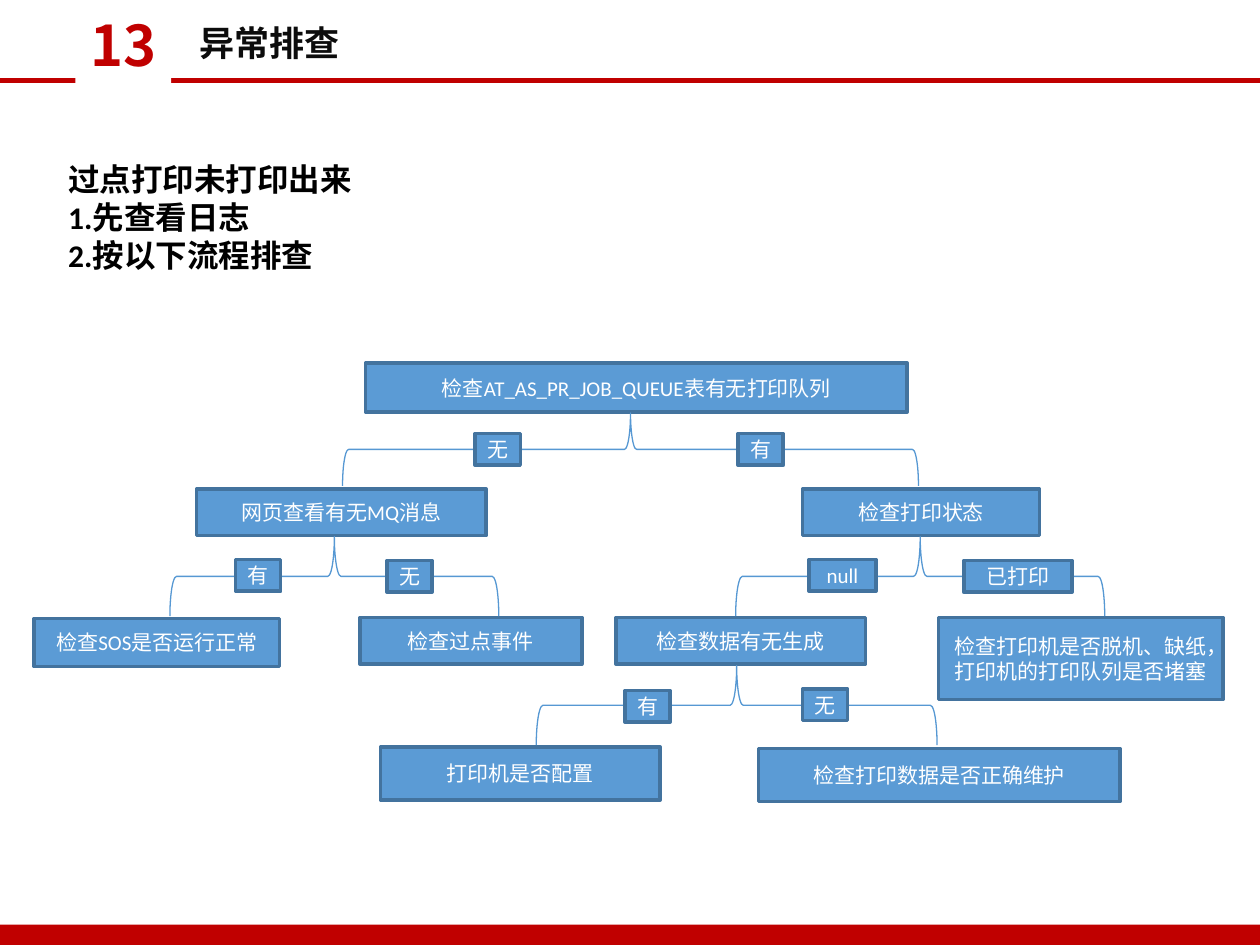
from dataclasses import dataclass

from lxml import etree
from pptx import Presentation
from pptx.dml.color import RGBColor
from pptx.enum.lang import MSO_LANGUAGE_ID
from pptx.enum.shapes import MSO_CONNECTOR, MSO_SHAPE
from pptx.enum.text import MSO_ANCHOR, MSO_AUTO_SIZE, PP_ALIGN
from pptx.oxml.ns import qn
from pptx.util import Cm, Pt

RECTANGLE = MSO_SHAPE.RECTANGLE
LEFT_BRACE = MSO_SHAPE.LEFT_BRACE
STRAIGHT = MSO_CONNECTOR.STRAIGHT
CHINESE = MSO_LANGUAGE_ID.SIMPLIFIED_CHINESE
LEFT, CENTER = PP_ALIGN.LEFT, PP_ALIGN.CENTER
TOP, MIDDLE = MSO_ANCHOR.TOP, MSO_ANCHOR.MIDDLE
NO_AUTOFIT, GROW = MSO_AUTO_SIZE.NONE, MSO_AUTO_SIZE.SHAPE_TO_FIT_TEXT

HEADING_FONT, BODY_FONT = "Noto Sans CJK SC", "Calibri"
RED, WHITE, BLACK, INK = "C00000", "FFFFFF", "000000", "0C0C0C"
BOX_FILL, BOX_EDGE, BRACE_LINE = "5B9BD5", "43739E", "5698D3"
SLIDE_WIDTH, SLIDE_HEIGHT = 25.4, 19.05


@dataclass(frozen=True)
class Box:
    """A flow step or a branch answer, in centimetres."""
    text: str
    left: float
    top: float
    width: float = 0.91
    height: float = 0.64


@dataclass(frozen=True)
class Branch:
    """A brace opening downwards, given by its centre as drawn."""
    center_x: float
    center_y: float
    span: float
    depth: float = 1.6


STEPS = [
    Box("检查AT_AS_PR_JOB_QUEUE表有无打印队列", 7.37, 7.32, 10.92, 0.99),
    Box("网页查看有无MQ消息", 3.96, 9.86, 5.84, 0.94),
    Box("检查打印状态", 16.18, 9.86, 4.78, 0.94),
    Box("检查数据有无生成", 12.42, 12.45, 5.03, 0.94),
    Box("检查SOS是否运行正常", 0.69, 12.47, 4.95, 0.97),
    Box("检查过点事件", 7.26, 12.45, 4.47, 0.94),
    Box("检查打印机是否脱机、缺纸，打印机的打印队列是否堵塞", 18.92, 12.45, 5.74, 1.65),
    Box("打印机是否配置", 7.67, 15.06, 5.64, 1.07),
    Box("检查打印数据是否正确维护", 15.29, 15.09, 7.29, 1.07),
]
BRANCHES = [
    Branch(12.71, 9.06, 11.61, 1.47),
    Branch(18.55, 11.62, 7.44),
    Branch(6.74, 11.62, 6.63),
    Branch(14.85, 14.22, 8.08),
]
ANSWERS = [
    Box("无", 9.58, 8.74),
    Box("有", 14.88, 8.74),
    Box("有", 12.6, 13.92),
    Box("null", 16.31, 11.28, 1.35),
    Box("有", 4.75, 11.28),
    Box("无", 7.8, 11.3),
    Box("无", 16.18, 13.89),
    Box("已打印", 19.43, 11.3, 2.18),
]
INSTRUCTIONS = ["过点打印未打印出来", "1.先查看日志", "2.按以下流程排查"]


def color(hex_code: str) -> RGBColor:
    return RGBColor.from_string(hex_code)


def fill_solid(shape, hex_code: str) -> None:
    shape.fill.solid()
    shape.fill.fore_color.rgb = color(hex_code)


def place(shape, left: float, top: float, width: float, height: float) -> None:
    shape.left, shape.top = Cm(left), Cm(top)
    shape.width, shape.height = Cm(width), Cm(height)


def write(paragraph, text: str, size: float, hex_code: str, align,
          font_name: str = BODY_FONT, bold: bool = False) -> None:
    paragraph.alignment = align
    run = paragraph.add_run()
    run.text = text
    font = run.font
    font.size, font.bold, font.name = Pt(size), bold, font_name
    font.color.rgb = color(hex_code)
    font.language_id = CHINESE
    if font_name == HEADING_FONT:
        latin = run._r.get_or_add_rPr().find(qn("a:latin"))
        east_asian = etree.Element(qn("a:ea"), typeface=font_name)
        latin.addnext(east_asian)


def add_rectangle(slide, left: float, top: float, width: float, height: float,
                  fill: str):
    shape = slide.shapes.add_shape(
        RECTANGLE, Cm(left), Cm(top), Cm(width), Cm(height))
    shape.shadow.inherit = False
    fill_solid(shape, fill)
    shape.line.fill.background()
    return shape


def add_box(slide, box: Box) -> None:
    shape = add_rectangle(
        slide, box.left, box.top, box.width, box.height, BOX_FILL)
    shape.line.color.rgb = color(BOX_EDGE)
    shape.line.width = Pt(2)
    frame = shape.text_frame
    frame.word_wrap, frame.vertical_anchor = True, MIDDLE
    write(frame.paragraphs[0], box.text, 12, WHITE, CENTER)


def add_branch(slide, branch: Branch) -> None:
    brace = slide.shapes.add_shape(
        LEFT_BRACE,
        Cm(branch.center_x - branch.depth / 2),
        Cm(branch.center_y - branch.span / 2),
        Cm(branch.depth), Cm(branch.span))
    brace.rotation = 90
    brace.shadow.inherit = False
    brace.fill.background()
    brace.line.color.rgb = color(BRACE_LINE)
    brace.line.width = Pt(0.75)


def add_header(slide) -> None:
    rule = slide.shapes.add_connector(
        STRAIGHT, 0, Cm(1.63), Cm(SLIDE_WIDTH), Cm(1.63))
    rule.line.color.rgb = color(RED)
    rule.line.width = Pt(3)
    etree.SubElement(rule._element.spPr, qn("a:effectLst"))

    title = slide.shapes.title
    place(title, 3.76, 0.3, 8.08, 1.12)
    fill_solid(title, WHITE)
    frame = title.text_frame
    frame.auto_size, frame.vertical_anchor = NO_AUTOFIT, TOP
    write(frame.paragraphs[0], "异常排查", 20, INK, LEFT, HEADING_FONT, True)

    number = add_rectangle(slide, 1.52, 0.08, 1.93, 1.63, WHITE)
    frame = number.text_frame
    frame.word_wrap, frame.vertical_anchor = True, TOP
    write(frame.paragraphs[0], "13", 32, RED, CENTER, HEADING_FONT, True)


def add_instructions(slide) -> None:
    body = slide.placeholders[1]
    place(body, 1.12, 3.1, 10.62, 2.57)
    frame = body.text_frame
    frame.auto_size, frame.vertical_anchor = GROW, TOP
    for index, text in enumerate(INSTRUCTIONS):
        paragraph = frame.add_paragraph() if index else frame.paragraphs[0]
        paragraph.space_before = Pt(0)
        properties = paragraph._p.get_or_add_pPr()
        properties.set("marL", "0")
        properties.set("indent", "0")
        etree.SubElement(properties, qn("a:buNone"))
        write(paragraph, text, 18, BLACK, LEFT, bold=True)


def main() -> None:
    presentation = Presentation()
    presentation.slide_width = Cm(SLIDE_WIDTH)
    presentation.slide_height = Cm(SLIDE_HEIGHT)
    slide = presentation.slides.add_slide(presentation.slide_layouts[1])

    add_rectangle(slide, 0, 18.64, SLIDE_WIDTH, 0.48, RED)
    add_header(slide)
    add_instructions(slide)
    for step in STEPS:
        add_box(slide, step)
    for branch in BRANCHES:
        add_branch(slide, branch)
    for answer in ANSWERS:
        add_box(slide, answer)

    presentation.save("out.pptx")


if __name__ == "__main__":
    main()
